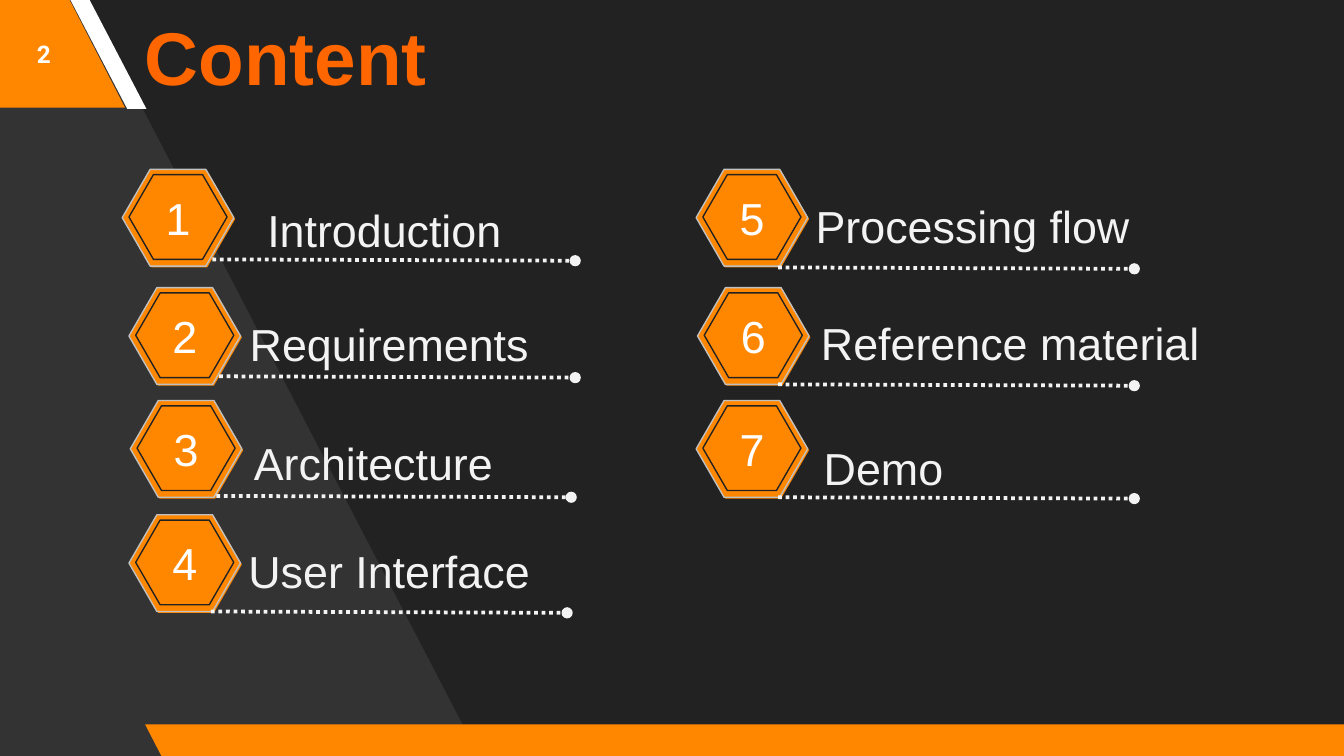
from lxml import etree
from pptx import Presentation, util as u
from pptx.dml.color import RGBColor
from pptx.enum import dml, shapes, text
from pptx.oxml.ns import qn

PX = 9144
DARK = RGBColor(0x22, 0x22, 0x22)
GREY = RGBColor(0x33, 0x33, 0x33)
AMBER = RGBColor(0xFF, 0x87, 0x00)
TITLE = RGBColor(0xFF, 0x66, 0x00)
RIM = RGBColor(0xC0, 0xC0, 0xC0)
PALE = RGBColor(0xF3, 0xF3, 0xF3)
WHITE = RGBColor(0xFF, 0xFF, 0xFF)
LEFT, MID = text.PP_ALIGN.LEFT, text.PP_ALIGN.CENTER
KIND = shapes.MSO_SHAPE

deck = Presentation()
deck.slide_width, deck.slide_height = 1000 * PX, u.Inches(5.625)
slide = deck.slides.add_slide(deck.slide_layouts[6])
slide.background.fill.solid()
slide.background.fill.fore_color.rgb = DARK


def shape(host, kind, box, fill, adj, line=None):
    item = host.shapes.add_shape(kind, *[n * PX for n in box])
    item.shadow.inherit = False
    item.fill.solid()
    item.fill.fore_color.rgb = fill
    for i, val in enumerate(adj):
        item.adjustments[i] = val
    if line:
        item.line.color.rgb = line
        item.line.width = u.Pt(0.75)
    else:
        item.line.fill.background()
    return item


def label(words, box, size, color, align=LEFT, face="Arial", bold=False, frame={}):
    area = slide.shapes.add_textbox(*[n * PX for n in box]).text_frame
    form = {"word_wrap": False, "auto_size": text.MSO_AUTO_SIZE.SHAPE_TO_FIT_TEXT}
    for key, val in {**form, **frame}.items():
        setattr(area, key, val)
    para = area.paragraphs[0]
    para.alignment = align
    run = para.add_run()
    run.text = words
    for key, val in {"name": face, "size": u.Pt(size), "bold": bold}.items():
        setattr(run.font, key, val)
    run.font.color.rgb = color


pen = slide.shapes.build_freeform(356, 562, scale=PX)
pen.add_line_segments([(62, -4), (-6, -4), (-2, 566)])
wedge = pen.convert_to_shape()
wedge.shadow.inherit = False
wedge.fill.solid()
wedge.fill.fore_color.rgb = GREY
wedge.line.fill.background()

for box, fill, adj in [
    ((-99, -2, 192, 82), AMBER, 0.515),
    ((52, -1, 57, 82), WHITE, 0.75),
    ((108, 539, 915, 25), AMBER, 0.515),
]:
    band = shape(slide, KIND.PARALLELOGRAM, box, fill, [adj])
    band._element.spPr.xfrm.set("flipH", "1")

inset = {f"margin_{side}": 10 * PX for side in ("left", "top", "right", "bottom")}
fixed = {"word_wrap": True, "auto_size": text.MSO_AUTO_SIZE.NONE,
         "vertical_anchor": text.MSO_ANCHOR.MIDDLE}
label("2", (0, 0, 65, 80), 13, WHITE, MID, "Roboto", True, {**inset, **fixed})
label("Content", (98, 3, 508, 77), 40, TITLE, bold=True, frame={"word_wrap": True})

topics = [
    ("Introduction", (91, 126), (158, 193, 428), (188, 146, 196), MID),
    ("Requirements", (96, 214), (163, 280, 428), (176, 231, 254), LEFT),
    ("Architecture", (97, 298), (161, 369, 425), (179, 319, 225), LEFT),
    ("User Interface", (96, 383), (157, 455, 422), (175, 400, 256), LEFT),
    ("Processing flow", (518, 126), (579, 199, 844), (597, 143, 279), LEFT),
    ("Reference material", (519, 214), (579, 286, 844), (601, 230, 340), LEFT),
    ("Demo", (518, 298), (579, 370, 844), (603, 323, 119), LEFT),
]
for num, (words, (x, y), (start, base, end), spot, align) in enumerate(topics, 1):
    badge = slide.shapes.add_group_shape()
    for dx, dy, w, h, line in [(1, 1, 83, 72, None), (0, 0, 83, 72, RIM), (5, 4, 73, 63, DARK)]:
        shape(badge, KIND.HEXAGON, (x + dx, y + dy, w, h), AMBER, [0.289, 1.155], line)

    ends = [n * PX for n in (start, base, end, base + 1)]
    rule = slide.shapes.add_connector(shapes.MSO_CONNECTOR.STRAIGHT, *ends)
    rule.line.color.rgb = PALE
    rule.line.width = u.Pt(2)
    rule.line.dash_style = dml.MSO_LINE.ROUND_DOT
    etree.SubElement(rule.line._get_or_add_ln(), qn("a:tailEnd"), type="oval")
    etree.SubElement(rule._element.spPr, qn("a:effectLst"))

    label(words, (*spot, 50), 24, PALE, align)
    label(str(num), (x + 22, y + 11, 39, 50), 24, WHITE, MID)

deck.save("out.pptx")
